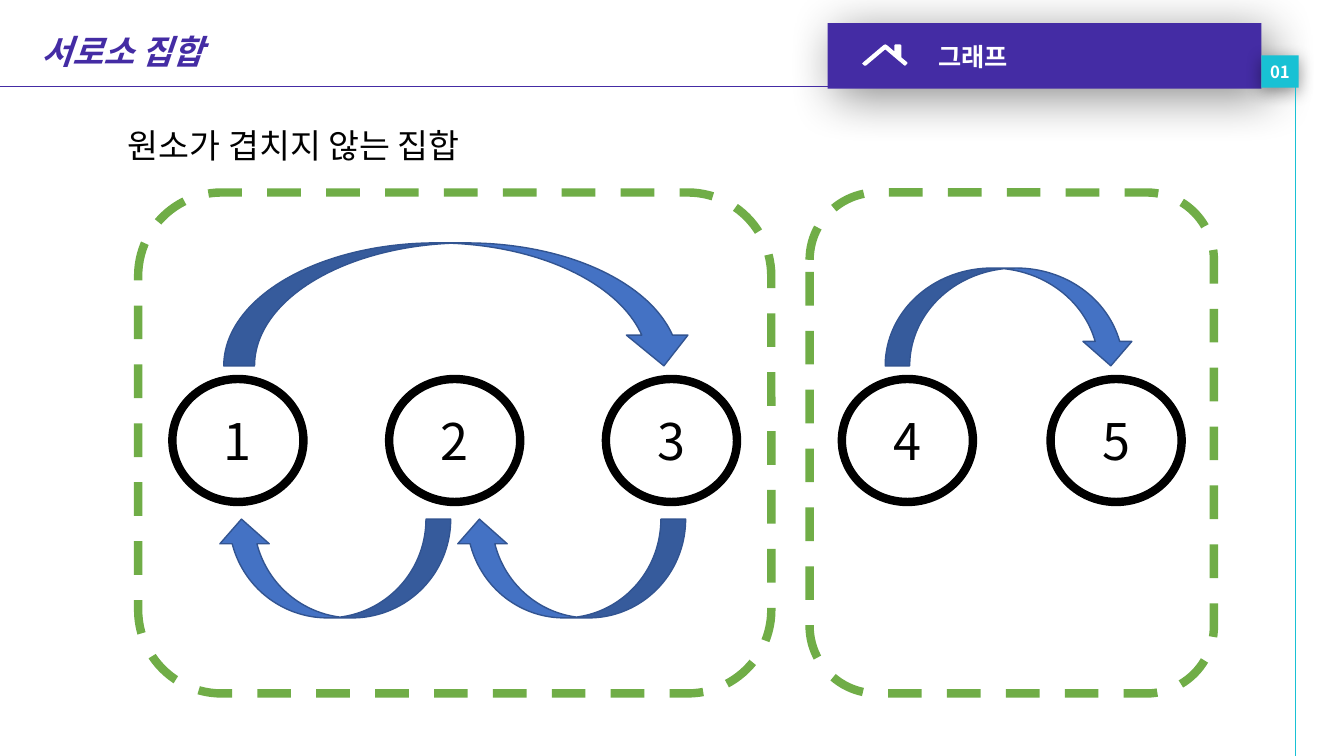
import pptx
import pptx.util
import pptx.dml.color
import pptx.enum.dml
import pptx.enum.shapes
import pptx.enum.text
import pptx.oxml
import pptx.oxml.ns

PX = 9144  # EMU per px, 100 px to the inch
FONT = "Noto Sans CJK KR"
PURPLE, CYAN, WHITE, BLACK = "442CA4", "18C1D4", "FFFFFF", "000000"
BLUE, NAVY, GREEN = "4472C4", "325491", "70AD47"
MSO = pptx.enum.shapes.MSO_SHAPE
ALIGN = pptx.enum.text.PP_ALIGN
ANCHOR = pptx.enum.text.MSO_ANCHOR
AUTO = pptx.enum.text.MSO_AUTO_SIZE
HOUSE = [(900, 62), (894, 57), (894, 45), (893, 44), (888, 44), (887, 45),
         (887, 51), (880, 45), (878, 44), (876, 45), (856, 62), (855, 63),
         (857, 65), (859, 65), (878, 49), (897, 65), (898, 65), (900, 63)]


def rgb(color):
    return pptx.dml.color.RGBColor.from_string(color)


def emu(*lengths):
    return [pptx.util.Emu(n * PX) for n in lengths]


class Deck:
    def __init__(self, width, height):
        self.prs = pptx.Presentation()
        self.prs.slide_width, self.prs.slide_height = emu(width, height)
        self.s = self.prs.slides.add_slide(self.prs.slide_layouts[5])

    def label(self, sp, text, size, color, align=ALIGN.LEFT, level=0,
              anchor=ANCHOR.MIDDLE, wrap=True, auto=AUTO.NONE, **style):
        tf = sp.text_frame
        frame = {"word_wrap": wrap, "vertical_anchor": anchor, "auto_size": auto}
        for name, value in frame.items():
            setattr(tf, name, value)
        p = tf.paragraphs[0]
        p.alignment, p.level = align, level
        r = p.add_run()
        r.text = text
        font = {"name": FONT, "size": pptx.util.Pt(size), **style}
        for name, value in font.items():
            setattr(r.font, name, value)
        r.font.color.rgb = rgb(color)
        ea = pptx.oxml.parse_xml(
            f'<a:ea {pptx.oxml.ns.nsdecls("a")} typeface="{FONT}"/>')
        r.font._element.append(ea)

    def paint(self, sp, fill=None, line=None, width=1, dash=None):
        sp.shadow.inherit = False
        if fill:
            sp.fill.solid()
            sp.fill.fore_color.rgb = rgb(fill)
        else:
            sp.fill.background()
        if line:
            sp.line.color.rgb = rgb(line)
            sp.line.width = pptx.util.Pt(width)
            sp.line.dash_style = dash
        else:
            sp.line.fill.background()

    def shape(self, kind, box, **look):
        sp = self.s.shapes.add_shape(kind, *emu(*box))
        self.paint(sp, **look)
        return sp

    def shadow(self, sp, alpha, blur, dist, angle):
        """Cast a black outer shadow; blur and dist in points."""
        effects = sp._element.spPr.find(pptx.oxml.ns.qn("a:effectLst"))
        effects.append(pptx.oxml.parse_xml(
            f'<a:outerShdw {pptx.oxml.ns.nsdecls("a")} blurRad="{blur * 12700}" '
            f'dist="{dist * 12700}" dir="{angle * 60000}" algn="ctr" '
            f'rotWithShape="0"><a:srgbClr val="{BLACK}">'
            f'<a:alpha val="{alpha * 1000}"/></a:srgbClr></a:outerShdw>'))

    def rule(self, x1, y1, x2, y2, color):
        sp = self.s.shapes.add_connector(
            pptx.enum.shapes.MSO_CONNECTOR.STRAIGHT, *emu(x1, y1, x2, y2))
        sp.line.color.rgb = rgb(color)
        sp.line.width = pptx.util.Pt(0.5)
        sp._element.spPr.append(pptx.oxml.parse_xml(
            f'<a:effectLst {pptx.oxml.ns.nsdecls("a")}/>'))

    def polygon(self, points, color):
        builder = self.s.shapes.build_freeform(*points[0], scale=PX)
        builder.add_line_segments(points[1:], close=True)
        self.paint(builder.convert_to_shape(), fill=color)

    def title(self, text, box):
        sp = self.s.shapes.title
        sp.left, sp.top, sp.width, sp.height = emu(*box)
        self.label(sp, text, 24, PURPLE, anchor=ANCHOR.TOP,
                   auto=AUTO.SHAPE_TO_FIT_TEXT, bold=True, italic=True)

    def text(self, text, box):
        sp = self.s.shapes.add_textbox(*emu(*box))
        self.label(sp, text, 24, BLACK, anchor=ANCHOR.TOP,
                   auto=AUTO.SHAPE_TO_FIT_TEXT)

    def node(self, number, x):
        sp = self.shape(MSO.OVAL, (x, 376, 130, 122),
                        fill=WHITE, line=BLACK, width=6)
        self.label(sp, str(number), 36, BLACK, align=ALIGN.CENTER)

    def arrow(self, box, flip):
        sp = self.shape(MSO.CURVED_UP_ARROW, box, fill=BLUE, line=NAVY)
        sp._element.spPr.xfrm.set(flip, "1")

    def set_frame(self, x, width):
        self.shape(MSO.ROUNDED_RECTANGLE, (x, 191, width, 497), line=GREEN,
                   width=6, dash=pptx.enum.dml.MSO_LINE.DASH)


def main():
    deck = Deck(1333, 750)

    banner = deck.shape(MSO.ROUNDED_RECTANGLE, (821, 23, 430, 65), fill=PURPLE)
    banner.adjustments[0] = 0
    deck.shadow(banner, 45, 35, 8, 45)
    deck.label(banner, "그래프", 18, WHITE, level=2, bold=True)
    badge = deck.shape(MSO.RECTANGLE, (1251, 55, 37, 32), fill=CYAN)
    deck.shadow(badge, 40, 12, 3, 90)
    deck.label(badge, "01", 12, WHITE, align=ALIGN.CENTER, wrap=False, bold=True)
    deck.polygon(HOUSE, WHITE)
    deck.rule(1285, 82, 1285, 750, CYAN)
    deck.rule(0, 86, 858, 86, PURPLE)
    deck.title("서로소 집합", (31, 26, 767, 50))

    for number, x in enumerate((171, 386, 601, 835, 1042), start=1):
        deck.node(number, x)
    for x, width in ((215, 232), (451, 229)):
        deck.arrow((x, 515, width, 98), "flipH")
    for box in ((222, 241, 467, 122), (878, 266, 248, 97)):
        deck.arrow(box, "flipV")
    for x, width in ((137, 628), (803, 401)):
        deck.set_frame(x, width)
    deck.text("원소가 겹치지 않는 집합", (117, 119, 634, 50))

    deck.prs.save("out.pptx")


if __name__ == "__main__":
    main()
